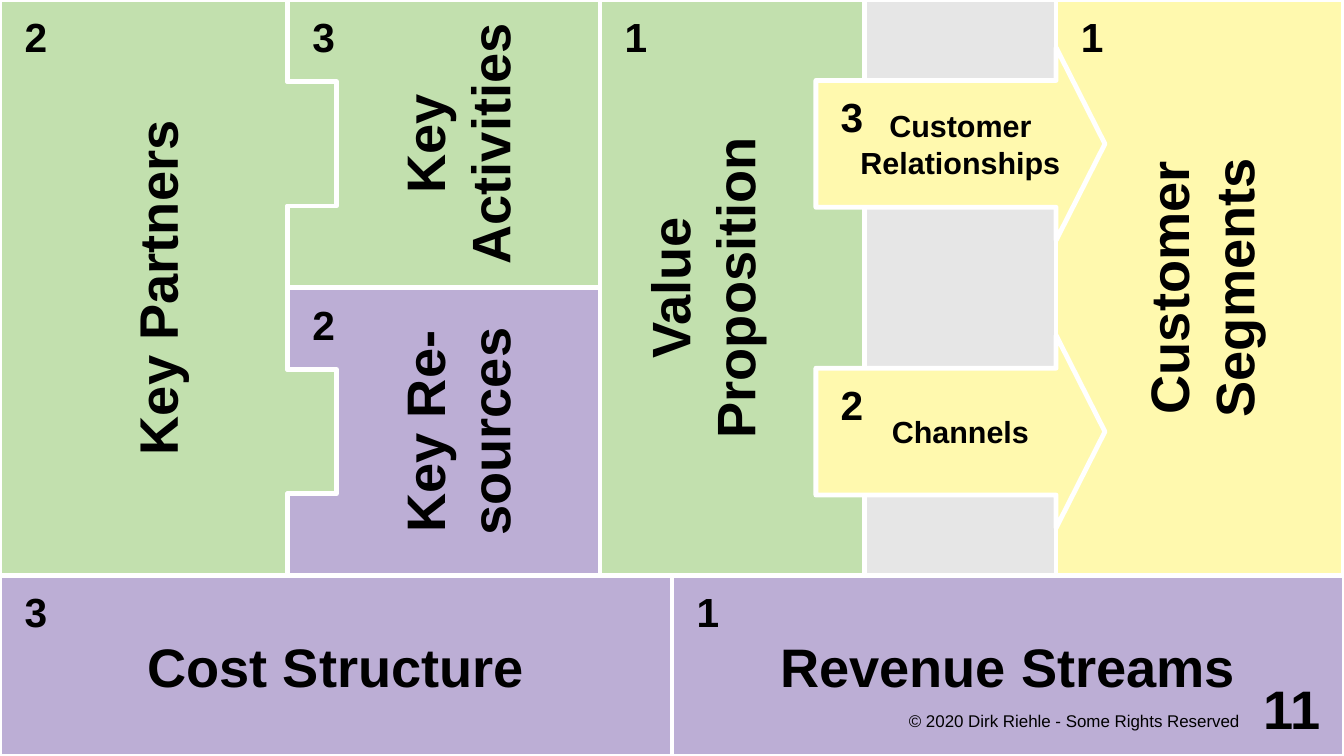
import dataclasses

import pptx
import pptx.dml.color
import pptx.enum.shapes
import pptx.enum.text
import pptx.slide
import pptx.util

GREEN = pptx.dml.color.RGBColor(0xC2, 0xE0, 0xAE)
PURPLE = pptx.dml.color.RGBColor(0xBC, 0xAE, 0xD5)
YELLOW = pptx.dml.color.RGBColor(0xFF, 0xF9, 0xAE)
GREY = pptx.dml.color.RGBColor(0xE6, 0xE6, 0xE6)
WHITE = pptx.dml.color.RGBColor(0xFF, 0xFF, 0xFF)
BLACK = pptx.dml.color.RGBColor(0, 0, 0)

ALIGN = pptx.enum.text.PP_ALIGN
ANCHOR = pptx.enum.text.MSO_ANCHOR
Inches = pptx.util.Inches
Points = list[tuple[float, float]]

SLIDE_WIDTH, SLIDE_HEIGHT = 11.02, 6.2
COLUMN, ROW, FLOOR = 2.36, 2.36, 4.72
TAB_TOP, TAB_BOTTOM, TAB_TIP = 0.67, 1.69, 2.76
VALUE_LEFT, CHANNEL_LEFT, SEGMENT_LEFT = 4.92, 7.09, 8.66
ARROW_LEFT, ARROW_TIP = 6.69, 9.06
SHAFT_HALF, HEAD_HALF = 0.52, 0.79
HALF_WIDTH = SLIDE_WIDTH / 2
BADGE_SIZE = 0.59


@dataclasses.dataclass(frozen=True)
class Region:
    left: float
    top: float
    width: float
    height: float

    def turned(self) -> "Region":
        shift = (self.width - self.height) / 2
        return Region(self.left + shift, self.top - shift, self.height, self.width)

    def lengths(self) -> list[pptx.util.Length]:
        return [Inches(value) for value in (self.left, self.top, self.width, self.height)]


@dataclasses.dataclass(frozen=True)
class Block:
    area: Region
    colour: pptx.dml.color.RGBColor
    label: str = ""
    badge: str = ""
    label_area: Region | None = None
    outline: Points | None = None
    upright: bool = False
    size: int = 32


def tab_edge(top: float) -> Points:
    return [
        (COLUMN, top + TAB_TOP), (TAB_TIP, top + TAB_TOP),
        (TAB_TIP, top + TAB_BOTTOM), (COLUMN, top + TAB_BOTTOM),
    ]


def activity_block(top: float, colour: pptx.dml.color.RGBColor, label: str, badge: str) -> Block:
    bottom = top + ROW
    return Block(
        Region(COLUMN, top, VALUE_LEFT - COLUMN, ROW), colour, label, badge,
        label_area=Region(VALUE_LEFT - COLUMN, top, COLUMN, ROW),
        outline=[(COLUMN, top), *tab_edge(top), (COLUMN, bottom),
                 (VALUE_LEFT, bottom), (VALUE_LEFT, top)],
        upright=True,
    )


def arrow_block(middle: float, label: str, badge: str) -> Block:
    upper, lower = middle - SHAFT_HALF, middle + SHAFT_HALF
    return Block(
        Region(ARROW_LEFT, upper, ARROW_TIP - ARROW_LEFT, 2 * SHAFT_HALF),
        YELLOW, label, badge,
        outline=[(ARROW_LEFT, lower), (ARROW_LEFT, upper), (SEGMENT_LEFT, upper),
                 (SEGMENT_LEFT, middle - HEAD_HALF), (ARROW_TIP, middle),
                 (SEGMENT_LEFT, middle + HEAD_HALF), (SEGMENT_LEFT, lower)],
        size=18,
    )


BLOCKS = [
    Block(
        Region(0, 0, TAB_TIP, FLOOR), GREEN, "Key Partners", "2",
        label_area=Region(0, 0, 2.56, FLOOR),
        outline=[(0, FLOOR), (0, 0), (COLUMN, 0), *tab_edge(0), *tab_edge(ROW), (COLUMN, FLOOR)],
        upright=True,
    ),
    activity_block(ROW, PURPLE, "Key Re-sources", "2"),
    Block(Region(CHANNEL_LEFT, 0, SEGMENT_LEFT - CHANNEL_LEFT, FLOOR), GREY),
    Block(Region(SEGMENT_LEFT, 0, COLUMN, FLOOR), YELLOW, "Customer\vSegments", "1", upright=True),
    Block(
        Region(VALUE_LEFT, 0, CHANNEL_LEFT - VALUE_LEFT, FLOOR), GREEN, "Value\nProposition", "1",
        label_area=Region(VALUE_LEFT, 0, 1.66, FLOOR), upright=True,
    ),
    Block(Region(0, FLOOR, HALF_WIDTH, SLIDE_HEIGHT - FLOOR), PURPLE, "Cost Structure", "3"),
    Block(Region(HALF_WIDTH, FLOOR, HALF_WIDTH, SLIDE_HEIGHT - FLOOR), PURPLE, "Revenue Streams", "1"),
    arrow_block(ROW / 2, "Customer Relationships", "3"),
    arrow_block(ROW * 1.5, "Channels", "2"),
    activity_block(0, GREEN, "Key\nActivities", "3"),
]


def add_text(
    slide: pptx.slide.Slide, text: str, region: Region, *, size: int, bold: bool = True,
    align: ALIGN = ALIGN.CENTER, anchor: ANCHOR = ANCHOR.MIDDLE, upright: bool = False,
    insets: tuple[float, float, float, float] = (0.08, 0.08, 0.08, 0.08),
) -> None:
    box = slide.shapes.add_textbox(*(region.turned() if upright else region).lengths())
    box.rotation = 270 if upright else 0
    frame = box.text_frame
    frame.word_wrap = True
    frame.vertical_anchor = anchor
    frame.margin_left, frame.margin_top, frame.margin_right, frame.margin_bottom = map(Inches, insets)
    frame.text = text
    for paragraph in frame.paragraphs:
        paragraph.alignment = align
        for run in paragraph.runs:
            run.font.name = "Arial"
            run.font.size = pptx.util.Pt(size)
            run.font.bold = bold
            run.font.color.rgb = BLACK


def add_block(slide: pptx.slide.Slide, block: Block) -> None:
    if block.outline:
        start, *rest = [(Inches(x), Inches(y)) for x, y in block.outline]
        builder = slide.shapes.build_freeform(*start)
        builder.add_line_segments(rest, close=True)
        panel = builder.convert_to_shape()
    else:
        panel = slide.shapes.add_shape(
            pptx.enum.shapes.MSO_SHAPE.RECTANGLE, *block.area.lengths())
    panel.shadow.inherit = False
    panel.fill.solid()
    panel.fill.fore_color.rgb = block.colour
    panel.line.color.rgb = WHITE
    panel.line.width = pptx.util.Pt(2.83)
    if block.label:
        add_text(slide, block.label, block.label_area or block.area,
                 size=block.size, upright=block.upright)


def main() -> None:
    presentation = pptx.Presentation()
    presentation.slide_width = Inches(SLIDE_WIDTH)
    presentation.slide_height = Inches(SLIDE_HEIGHT)
    slide = presentation.slides.add_slide(presentation.slide_layouts[6])
    for block in BLOCKS:
        add_block(slide, block)
    for block in BLOCKS:
        if block.badge:
            corner = Region(block.area.left, block.area.top, BADGE_SIZE, BADGE_SIZE)
            add_text(slide, block.badge, corner, size=24)
    add_text(slide, "© 2020 Dirk Riehle - Some Rights Reserved", Region(7.09, 5.81, 3.15, 0.3),
             size=10, bold=False, align=ALIGN.RIGHT, anchor=ANCHOR.TOP, insets=(0, 0.02, 0.08, 0))
    add_text(slide, "11", Region(10.04, 5.51, 0.79, 0.59),
             size=32, align=ALIGN.RIGHT, insets=(0, 0, 0, 0))
    presentation.save("out.pptx")


if __name__ == "__main__":
    main()
